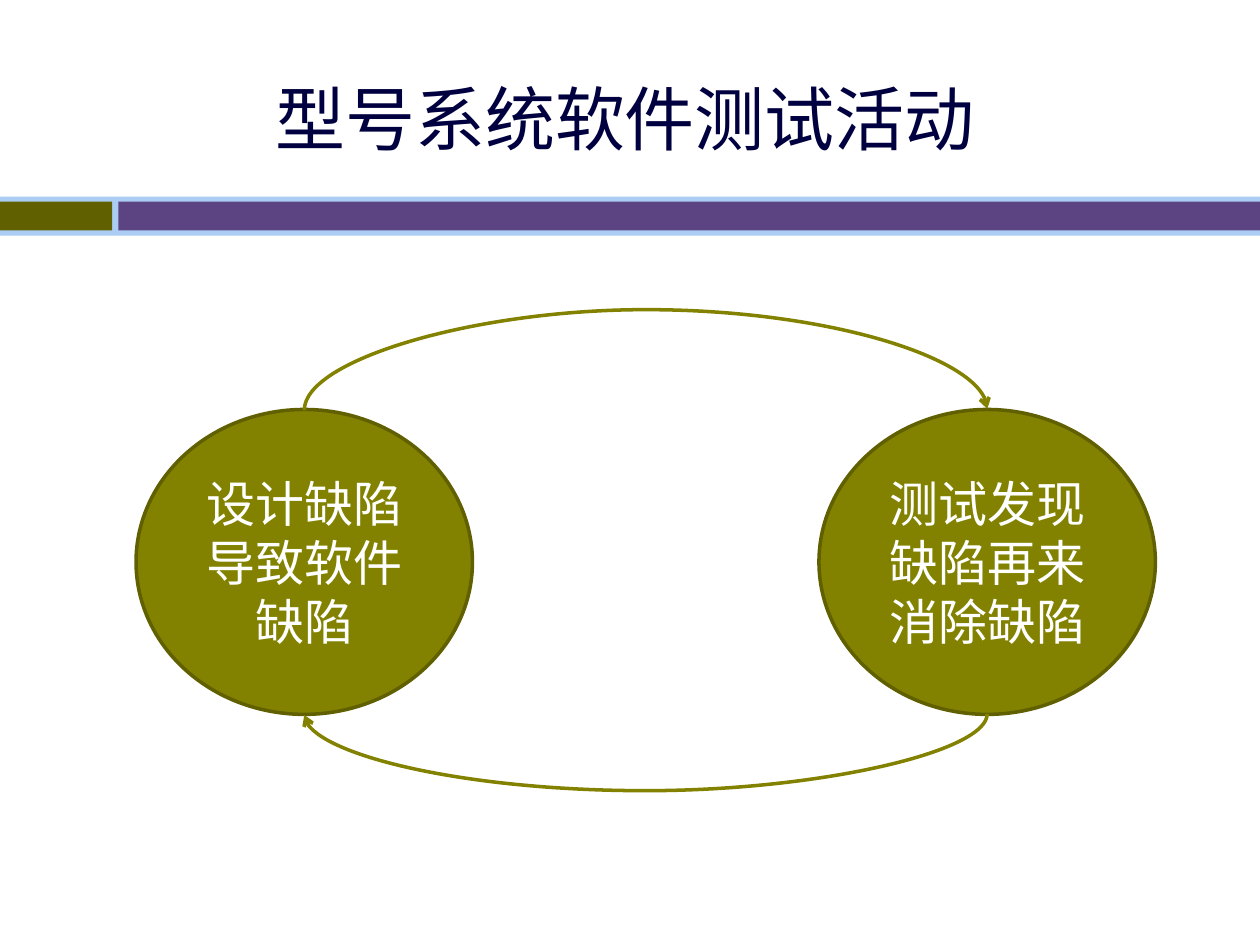
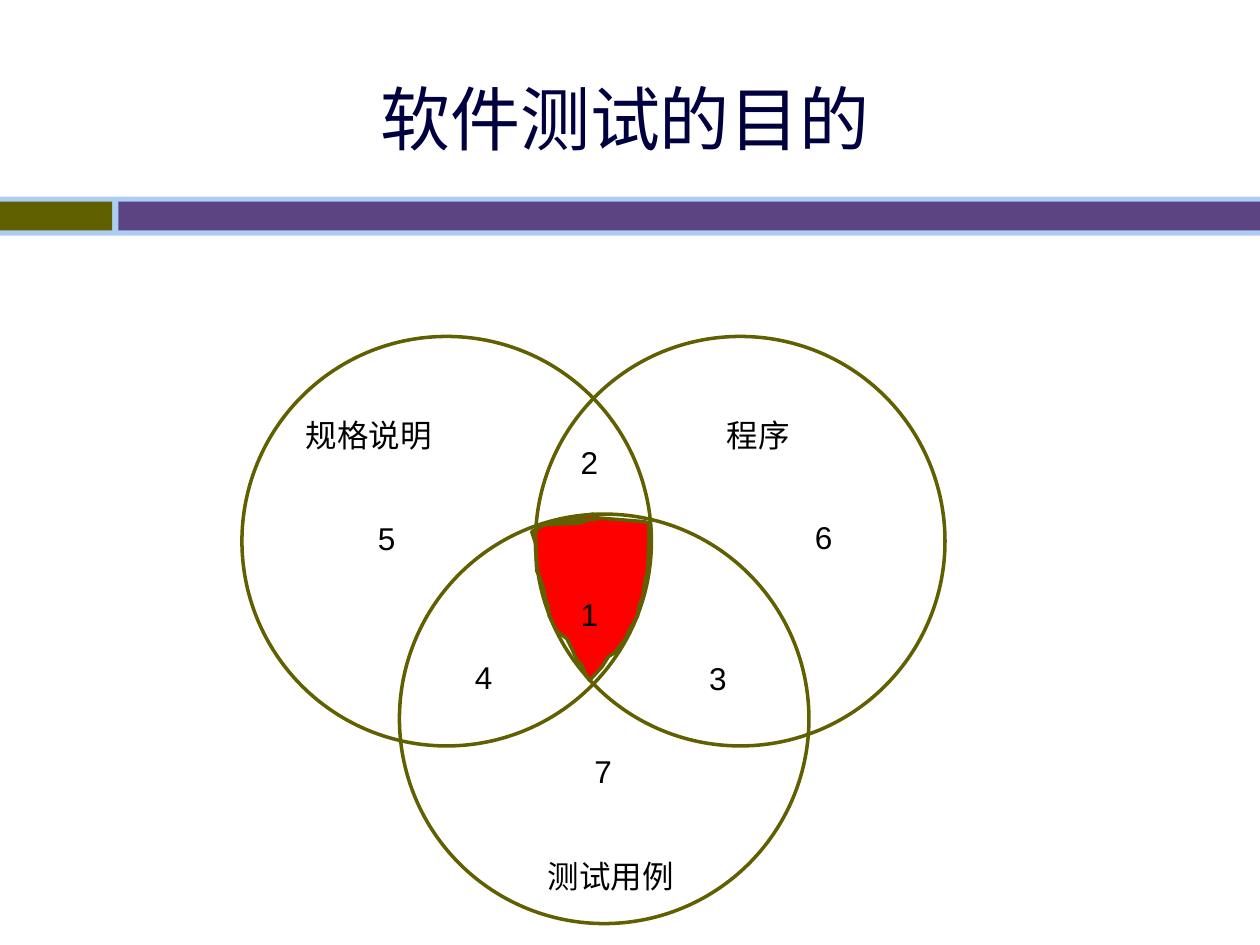
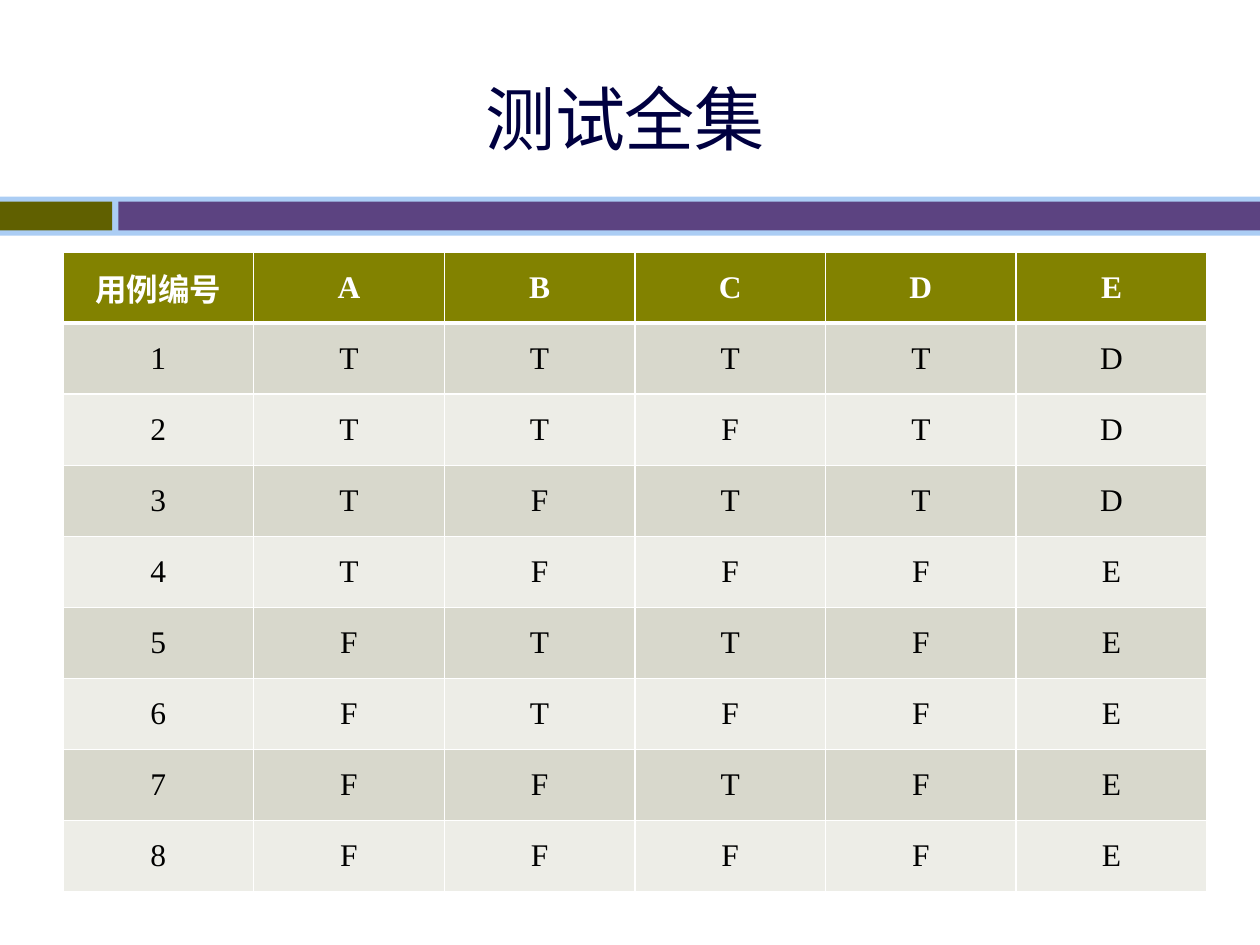
from dataclasses import dataclass

from lxml.etree import SubElement
from pptx import Presentation
from pptx.dml.color import RGBColor
from pptx.enum.shapes import MSO_CONNECTOR, MSO_SHAPE
from pptx.enum.text import MSO_ANCHOR, PP_ALIGN
from pptx.oxml.ns import qn
from pptx.util import Inches, Pt


@dataclass(frozen=True)
class Theme:
    title: str = "000040"
    olive: str = "828200"
    dark_olive: str = "606000"
    purple: str = "5C4381"
    sky: str = "ABCDF4"
    red: str = "FF0000"
    white: str = "FFFFFF"
    black: str = "000000"
    row_fills: tuple = ("D8D8CC", "EDEDE7")
    title_font: str = "Calibri"
    cycle_font: str = "Noto Sans CJK SC"
    label_font: str = "Arial"
    table_font: str = "Times New Roman"
    title_size: int = 40
    cycle_size: int = 28
    body_size: int = 18
    line_width: int = 2


THEME = Theme()

BANDS = [
    (0, 1.56, 10, 0.31, THEME.sky),
    (0, 1.6, 0.89, 0.23, THEME.dark_olive),
    (0.94, 1.6, 9.06, 0.23, THEME.purple),
]

CYCLE_TITLE = "型号系统软件测试活动"
CYCLE_STEPS = [(1.08, "设计缺陷导致软件缺陷"), (6.5, "测试发现缺陷再来消除缺陷")]
CYCLE_TOP, CYCLE_WIDTH, CYCLE_HEIGHT = 3.25, 2.67, 2.42
RISE, DROP = 0.81, 0.62
TOP_SITE, BOTTOM_SITE = 0, 4

VENN_TITLE = "软件测试的目的"
VENN_DIAMETER = 3.25
VENN_CIRCLES = [(1.92, 2.67), (4.25, 2.67), (3.17, 4.08)]
VENN_LABELS = [
    ("规格说明", 2.33, 3.25, 1.21),
    ("程序", 5.67, 3.25, 0.71),
    ("测试用例", 4.25, 6.75, 1.21),
    ("5", 2.9, 4.07, 0.34),
    ("6", 6.37, 4.06, 0.34),
    ("2", 4.51, 3.47, 0.34),
    ("1", 4.51, 4.67, 0.34),
    ("4", 3.67, 5.17, 0.34),
    ("3", 5.53, 5.18, 0.34),
    ("7", 4.62, 5.92, 0.34),
]
OVERLAP_HUNDREDTHS = [
    (426, 417), (461, 415), (469, 412), (474, 411), (511, 414), (515, 415),
    (515, 432), (514, 454), (512, 460), (511, 468), (510, 474), (507, 482),
    (506, 489), (499, 501), (497, 506), (488, 518), (483, 521), (478, 529),
    (468, 540), (465, 536), (462, 528), (458, 524), (454, 515), (450, 507),
    (442, 501), (440, 497), (436, 489), (435, 481), (433, 476), (432, 469),
    (428, 457), (426, 453), (425, 431), (422, 422), (431, 417), (436, 415),
    (440, 414), (474, 412), (471, 408), (460, 410), (444, 414), (442, 415),
]

TABLE_TITLE = "测试全集"
TABLE_HEADER = ["用例编号", "A", "B", "C", "D", "E"]
TABLE_CASES = ["TTTTD", "TTFTD", "TFTTD", "TFFFE", "FTTFE", "FTFFE", "FFTFE", "FFFFE"]
TABLE_BOX = (0.5, 2, 9.08, 5.08)


def color(value):
    return RGBColor.from_string(value)


def inches(*lengths):
    return [Inches(length) for length in lengths]


def paint(shape, fill=None, line=None):
    shape.shadow.inherit = False
    if fill:
        shape.fill.solid()
        shape.fill.fore_color.rgb = color(fill)
    else:
        shape.fill.background()
    if line:
        shape.line.color.rgb = color(line)
        shape.line.width = Pt(THEME.line_width)
    else:
        shape.line.fill.background()


def write(frame, text, font, size, text_color, align=PP_ALIGN.CENTER, bold=False):
    frame.text = text
    para = frame.paragraphs[0]
    para.alignment = align
    para.font.name = font
    para.font.size = Pt(size)
    para.font.bold = bold
    para.font.color.rgb = color(text_color)


def add_preset(page, preset, left, top, width, height, fill=None, line=None):
    shape = page.shapes.add_shape(preset, *inches(left, top, width, height))
    paint(shape, fill, line)
    return shape


def add_page(deck, title):
    page = deck.slides.add_slide(deck.slide_layouts[6])
    for left, top, width, height, fill in BANDS:
        add_preset(page, MSO_SHAPE.RECTANGLE, left, top, width, height, fill)
    box = page.shapes.add_textbox(*inches(0, 0.31, 9.92, 1.25))
    box.text_frame.word_wrap = True
    box.text_frame.vertical_anchor = MSO_ANCHOR.MIDDLE
    write(box.text_frame, title, THEME.title_font, THEME.title_size, THEME.title)
    return page


def add_arc(page, start, end, site, level, bulge):
    centers = [(shape.left + shape.width / 2) / Inches(1) for shape in (start, end)]
    middle, span = sum(centers) / 2, abs(centers[1] - centers[0])
    depth = 0.01
    corners = [(middle - depth / 2, level - span / 2), (middle + depth / 2, level + span / 2)]
    if site == TOP_SITE:
        corners.reverse()
    arc = page.shapes.add_connector(MSO_CONNECTOR.CURVE, *inches(*corners[0], *corners[1]))
    arc.line.color.rgb = color(THEME.olive)
    arc.line.width = Pt(THEME.line_width)
    properties = arc.element.spPr
    properties.find(qn("a:xfrm")).set("rot", str(90 * 60000))
    adjustments = properties.find(qn("a:prstGeom")).find(qn("a:avLst"))
    ratio = round(bulge / depth * 100000)
    SubElement(adjustments, qn("a:gd"), name="adj1", fmla=f"val {ratio}")
    SubElement(properties.find(qn("a:ln")), qn("a:tailEnd"), type="arrow")
    SubElement(properties, qn("a:effectLst"))
    joints = next(arc.element.iter(qn("p:cNvCxnSpPr")))
    for tag, shape in (("a:stCxn", start), ("a:endCxn", end)):
        SubElement(joints, qn(tag), id=str(shape.shape_id), idx=str(site))


def build_cycle(deck):
    page = add_page(deck, CYCLE_TITLE)
    steps = []
    for left, text in CYCLE_STEPS:
        step = add_preset(page, MSO_SHAPE.OVAL, left, CYCLE_TOP, CYCLE_WIDTH, CYCLE_HEIGHT,
                          THEME.olive, THEME.dark_olive)
        step.text_frame.word_wrap = True
        step.text_frame.vertical_anchor = MSO_ANCHOR.MIDDLE
        write(step.text_frame, text, THEME.cycle_font, THEME.cycle_size, THEME.white)
        steps.append(step)
    defect, test = steps
    add_arc(page, defect, test, TOP_SITE, CYCLE_TOP, RISE)
    add_arc(page, test, defect, BOTTOM_SITE, CYCLE_TOP + CYCLE_HEIGHT, DROP)


def build_venn(deck):
    page = add_page(deck, VENN_TITLE)
    outline = page.shapes.build_freeform(*OVERLAP_HUNDREDTHS[0], scale=Inches(0.01))
    outline.add_line_segments(OVERLAP_HUNDREDTHS[1:], close=False)
    paint(outline.convert_to_shape(), THEME.red, THEME.dark_olive)
    for left, top in VENN_CIRCLES:
        add_preset(page, MSO_SHAPE.OVAL, left, top, VENN_DIAMETER, VENN_DIAMETER,
                   line=THEME.dark_olive)
    for text, left, top, width in VENN_LABELS:
        box = page.shapes.add_textbox(*inches(left, top, width, 0.4))
        box.text_frame.word_wrap = False
        write(box.text_frame, text, THEME.label_font, THEME.body_size, THEME.black, PP_ALIGN.LEFT)


def add_borders(cell, widths):
    properties = cell._tc.get_or_add_tcPr()
    for side, width in widths.items():
        border = SubElement(properties, qn(f"a:ln{side}"), w=str(Pt(width)))
        fill = SubElement(border, qn("a:solidFill"))
        SubElement(fill, qn("a:srgbClr"), val=THEME.white)


def build_table(deck):
    page = add_page(deck, TABLE_TITLE)
    rows = [TABLE_HEADER] + [[str(number), *case] for number, case in enumerate(TABLE_CASES, 1)]
    left, top, width, height = TABLE_BOX
    table = page.shapes.add_table(len(rows), len(TABLE_HEADER),
                                  *inches(left, top, width, height)).table
    table.horz_banding = False
    for row_index, row in enumerate(rows):
        header = row_index == 0
        fill = THEME.olive if header else THEME.row_fills[(row_index - 1) % 2]
        above = 3 if row_index == 1 else 1
        below = 3 if header else 1
        for column_index, text in enumerate(row):
            cell = table.cell(row_index, column_index)
            add_borders(cell, {"L": 1, "R": 1, "T": above, "B": below})
            cell.fill.solid()
            cell.fill.fore_color.rgb = color(fill)
            cell.vertical_anchor = MSO_ANCHOR.MIDDLE
            write(cell.text_frame, text, THEME.table_font, THEME.body_size,
                  THEME.white if header else THEME.black, bold=header)


def main():
    deck = Presentation()
    deck.slide_width, deck.slide_height = inches(10, 7.5)
    build_cycle(deck)
    build_venn(deck)
    build_table(deck)
    deck.save("out.pptx")


if __name__ == "__main__":
    main()
